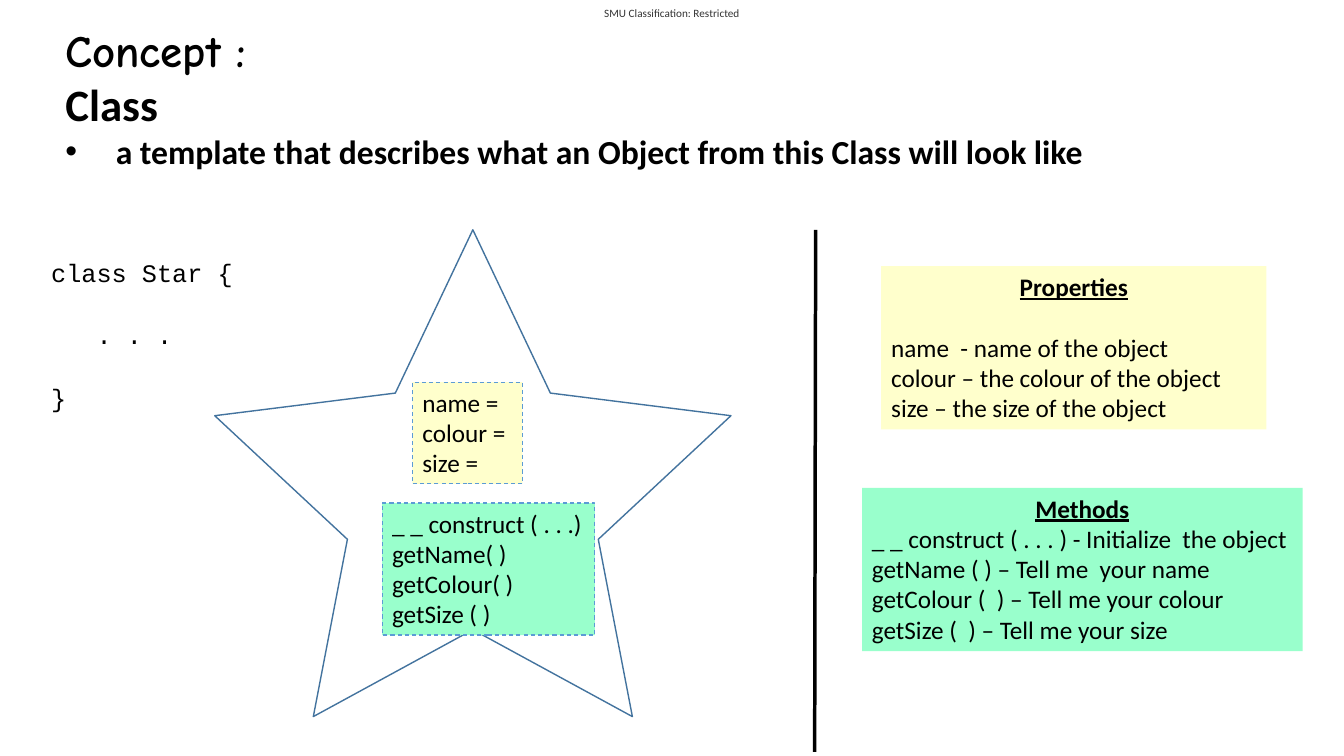
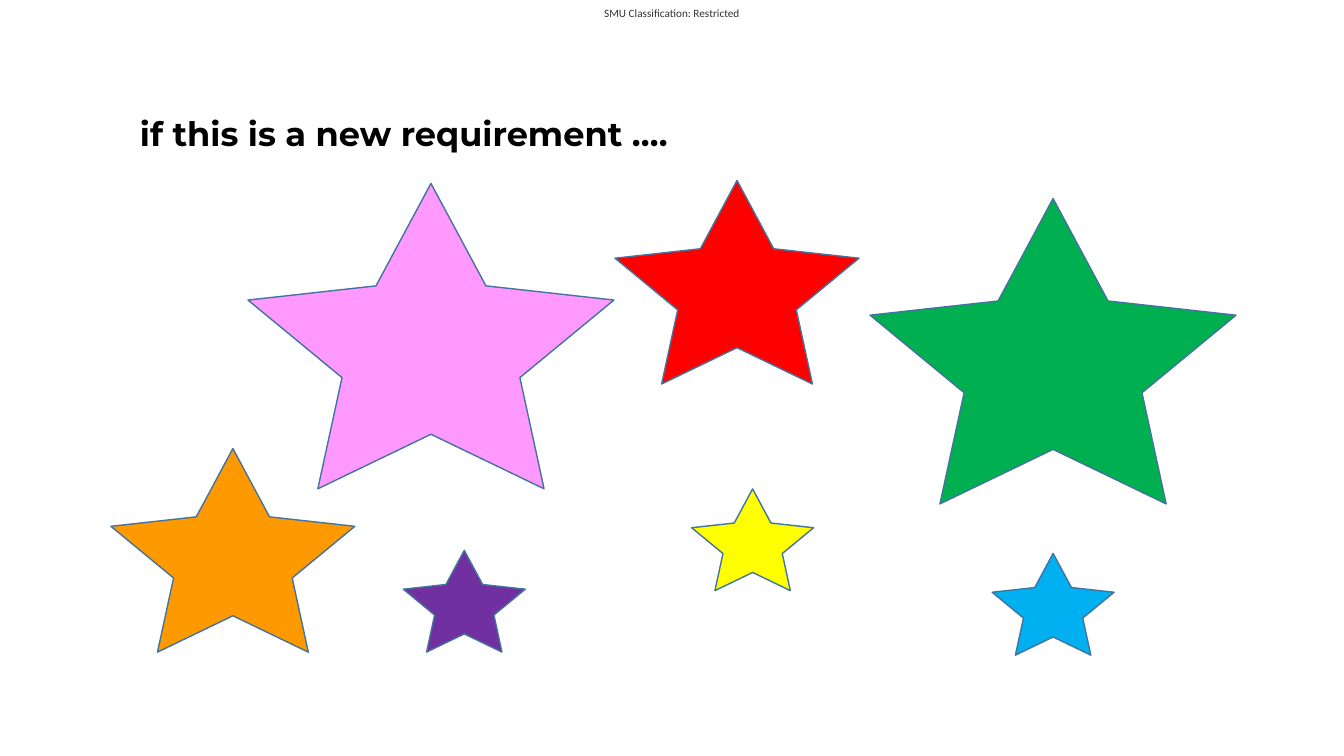
from pptx import Presentation
from pptx.dml.color import RGBColor
from pptx.enum.dml import MSO_LINE
from pptx.enum.shapes import MSO_CONNECTOR, MSO_SHAPE
from pptx.enum.text import MSO_ANCHOR, PP_ALIGN
from pptx.oxml.ns import qn
from pptx.util import Inches, Pt
from lxml import etree

BLACK = RGBColor(0x00, 0x00, 0x00)
GREY = RGBColor(0x33, 0x33, 0x33)
WHITE = RGBColor(0xFF, 0xFF, 0xFF)
CREAM = RGBColor(0xFF, 0xFF, 0xCC)
MINT = RGBColor(0x99, 0xFF, 0xCC)
STAR_EDGE = RGBColor(0x43, 0x73, 0x9E)
DASH_BLUE = RGBColor(0x5B, 0x9B, 0xD5)
PINK = RGBColor(0xFF, 0x99, 0xFF)
RED = RGBColor(0xFF, 0x00, 0x00)
GREEN = RGBColor(0x00, 0xB0, 0x50)
ORANGE = RGBColor(0xFF, 0x99, 0x00)
PURPLE = RGBColor(0x70, 0x30, 0xA0)
YELLOW = RGBColor(0xFF, 0xFF, 0x00)
SKY = RGBColor(0x00, 0xB0, 0xF0)


def add_box(shapes, at, kind=None, fill=None):
    at = [Inches(v) for v in at]
    if kind is None:
        sp = shapes.add_textbox(*at)
    else:
        sp = shapes.add_shape(kind, *at)
        sp.shadow.inherit = False
        sp.fill.solid()
        sp.fill.fore_color.rgb = fill
        sp.line.fill.background()
    if kind == MSO_SHAPE.STAR_5_POINT:
        sp.adjustments[0] = 0.243
        sp.line.color.rgb = STAR_EDGE
        sp.line.width = Pt(1)
    sp.text_frame.word_wrap = True
    sp.text_frame.vertical_anchor = MSO_ANCHOR.TOP
    return sp


def write(tf, text, size=18, font="Calibri", color=BLACK, bold=False,
          underline=False, align=PP_ALIGN.LEFT, before=0):
    p = tf.add_paragraph() if tf.paragraphs[0].runs else tf.paragraphs[0]
    p.alignment = align
    if before:
        p.space_before = Pt(before)
    r = p.add_run()
    r.text = text
    r.font.size = Pt(size)
    r.font.name = font
    r.font.color.rgb = color
    r.font.bold = bold
    r.font.underline = underline
    return p


prs = Presentation()
prs.slide_width = Inches(13.33)
prs.slide_height = Inches(7.5)
class_slide, stars_slide = [prs.slides.add_slide(prs.slide_layouts[6]) for _ in range(2)]

for s in (class_slide, stars_slide):
    tf = add_box(s.shapes, (5.85, 0, 1.63, 0.25)).text_frame
    tf.margin_left = tf.margin_right = tf.margin_top = tf.margin_bottom = 0
    tf.vertical_anchor = MSO_ANCHOR.MIDDLE
    write(tf, "SMU Classification: Restricted", 8, color=GREY, align=PP_ALIGN.CENTER)

s = class_slide
tf = add_box(s.shapes, (0.55, 0.18, 12.37, 1.58)).text_frame
write(tf, "Concept :", 32, "Comic Neue", bold=True)
write(tf, "Class", 32, bold=True)
p = write(tf, "a template that describes what an Object from this Class will look like", 24, bold=True)
pPr = p._p.get_or_add_pPr()
pPr.set("marL", str(Inches(0.5)))
pPr.set("indent", str(Inches(-0.5)))
etree.SubElement(pPr, qn("a:buFont")).set("typeface", "Arial")
etree.SubElement(pPr, qn("a:buChar")).set("char", "•")

star_group = s.shapes.add_group_shape()
add_box(star_group.shapes, (2.13, 2.28, 5.12, 4.83), MSO_SHAPE.STAR_5_POINT, WHITE)
members = [
    ((4.09, 3.79, 1.09, 1.01), CREAM, ["name =", "colour =", "size ="]),
    ((3.79, 4.99, 2.11, 1.31), MINT,
     ["_ _ construct ( . . .)", "getName( )", "getColour( )", "getSize ( )"]),
]
for at, fill, lines in members:
    sp = add_box(star_group.shapes, at, MSO_SHAPE.RECTANGLE, fill)
    sp.line.color.rgb = DASH_BLUE
    sp.line.width = Pt(0.75)
    sp.line.dash_style = MSO_LINE.DASH
    for text in lines:
        write(sp.text_frame, text)

divider = s.shapes.add_connector(MSO_CONNECTOR.STRAIGHT, Inches(8.09), Inches(2.28),
                                 Inches(8.08), Inches(7.46))
divider.line.color.rgb = BLACK
divider.line.width = Pt(2.5)
etree.SubElement(divider._element.spPr, qn("a:effectLst"))

legends = [
    ((8.55, 4.84, 4.37, 1.62), MINT, "Methods", 0,
     ["_ _ construct ( . . . ) - Initialize  the object", "getName ( ) – Tell me  your name",
      "getColour (  ) – Tell me your colour", "getSize (  ) – Tell me your size"]),
    ((8.74, 2.64, 3.82, 1.62), CREAM, "Properties", 22,
     ["name  - name of the object", "colour – the colour of the object",
      "size – the size of the object"]),
]
for at, fill, heading, gap, lines in legends:
    tf = add_box(s.shapes, at, MSO_SHAPE.RECTANGLE, fill).text_frame
    write(tf, heading, bold=True, underline=True, align=PP_ALIGN.CENTER)
    for i, text in enumerate(lines):
        write(tf, text, before=0 if i else gap)

tf = add_box(s.shapes, (0.41, 2.5, 2.1, 1.62)).text_frame
for i, text in enumerate(["class Star {", "   . . .", "}"]):
    write(tf, text, font="Courier New", before=23 if i else 0)

s = stars_slide
tf = add_box(s.shapes, (1.29, 1.02, 10.5, 0.6)).text_frame
tf.vertical_anchor = MSO_ANCHOR.MIDDLE
write(tf, "if this is a new requirement ….", 24, "Montserrat", bold=True)

SMALL, MEDIUM, LARGE = (1.21, 1.01), (2.42, 2.02), (3.63, 3.03)
stars = [
    (9.84, 5.49, SMALL, SKY),
    (6.1, 1.79, MEDIUM, RED),
    (4, 5.46, SMALL, PURPLE),
    (2.46, 1.82, LARGE, PINK),
    (1.1, 4.45, MEDIUM, ORANGE),
    (8.63, 1.97, LARGE, GREEN),
    (6.86, 4.85, SMALL, YELLOW),
]
for left, top, size, fill in stars:
    add_box(s.shapes, (left, top, *size), MSO_SHAPE.STAR_5_POINT, fill)

prs.save("out.pptx")
